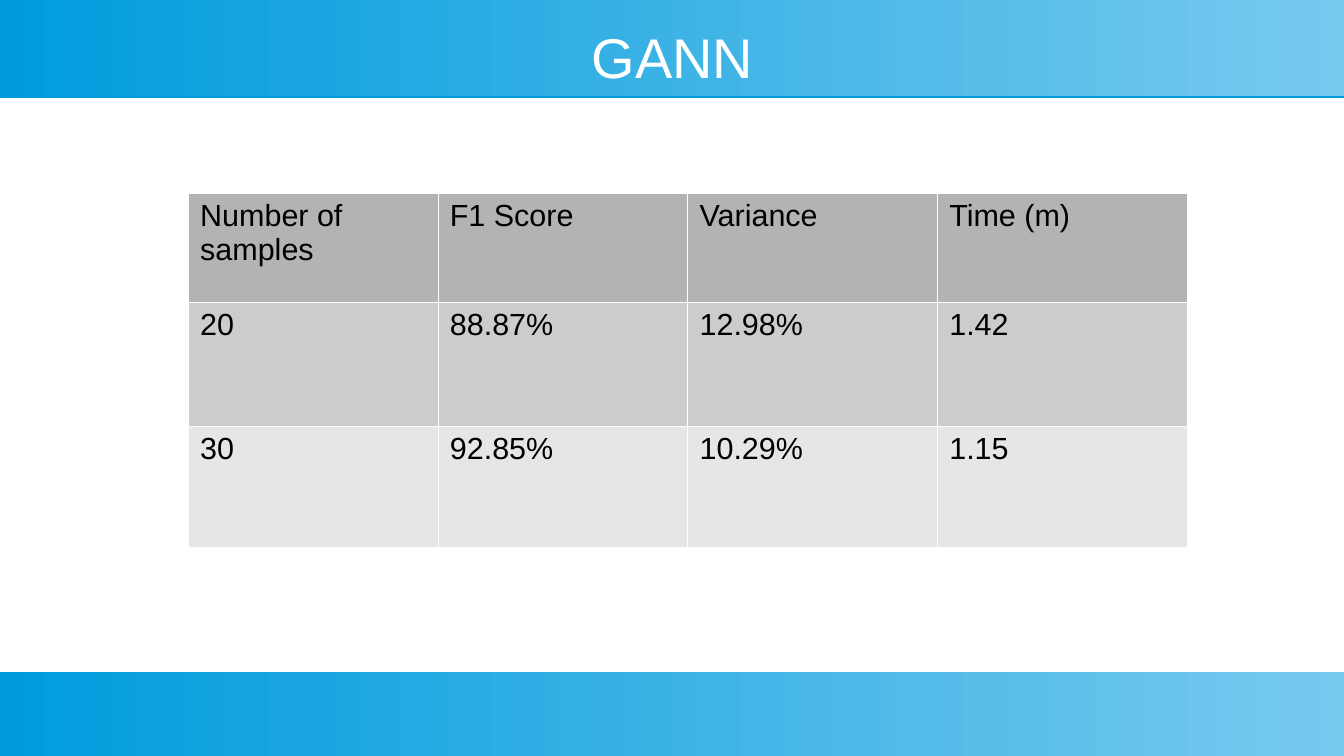
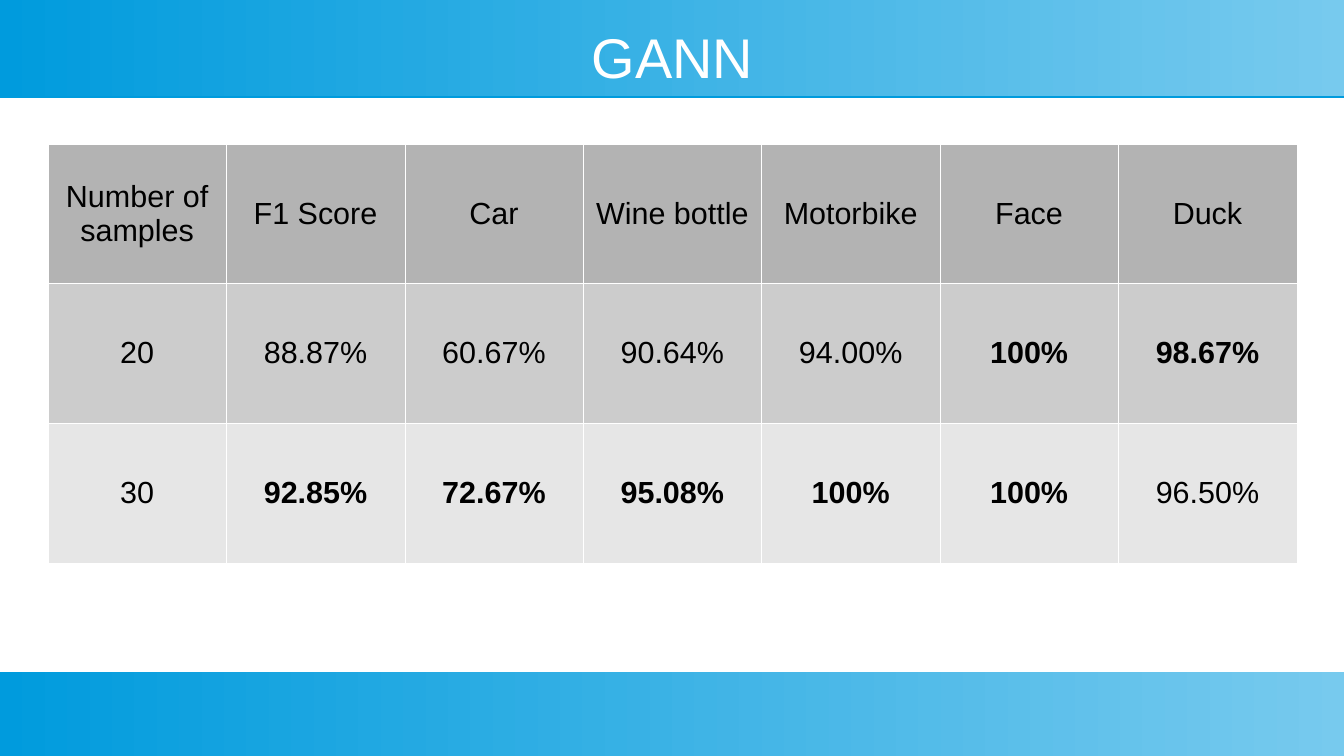
from lxml.etree import SubElement
from pptx import Presentation
from pptx.dml.color import RGBColor
from pptx.enum.shapes import MSO_SHAPE as Shape
from pptx.enum.text import MSO_ANCHOR as Anchor, PP_ALIGN as Align
from pptx.oxml.ns import qn
from pptx.util import Pt

PX = 914400 / 122
SLIDE_W, SLIDE_H = 1344, 756
FONT = "Arial"
BLUE, SKY, WHITE, BLACK = "009BDD", "77CAEE", "FFFFFF", "000000"
ROW_FILLS = ["B3B3B3", "CCCCCC", "E6E6E6"]
BORDER_WIDTH = 720

HEADER_BOX = (0, 0, SLIDE_W, 96)
FOOTER_BOX = (0, 672, SLIDE_W, 84)
TITLE_BOX = (48, 25, 1249, 63)

SUMMARY = [
    ["Number of samples", "F1 Score", "Variance", "Time (m)"],
    ["20", "88.87%", "12.98%", "1.42"],
    ["30", "92.85%", "10.29%", "1.15"],
]
BY_CLASS = [
    ["Number of samples", "F1 Score", "Car", "Wine bottle", "Motorbike", "Face", "Duck"],
    ["20", "88.87%", "60.67%", "90.64%", "94.00%", "100%", "98.67%"],
    ["30", "92.85%", "72.67%", "95.08%", "100%", "100%", "96.50%"],
]


def px(length):
    return round(length * PX)


def rgb(color):
    return RGBColor.from_string(color)


def add_color(parent, color):
    SubElement(parent, qn("a:srgbClr"), val=color)


def style(paragraph, size, color, align, bold=False):
    paragraph.alignment = align
    font = paragraph.font
    font.name, font.size, font.bold = FONT, Pt(size), bold
    font.color.rgb = rgb(color)


def add_band(slide, box):
    band = slide.shapes.add_shape(Shape.RECTANGLE, *map(px, box))
    band.line.fill.background()
    band.fill.gradient()
    band.fill.gradient_angle = 0
    for stop, color, position in zip(band.fill.gradient_stops, (BLUE, SKY), (0, 1)):
        stop.color.rgb = rgb(color)
        stop.position = position
    band.shadow.inherit = False
    effects = band.element.spPr.find(qn("a:effectLst"))
    shadow = SubElement(effects, qn("a:outerShdw"), blurRad="0",
                        dist=str(Pt(0.9)), dir="5400000", rotWithShape="0")
    add_color(shadow, BLUE)


def add_title(slide, text, box):
    frame = slide.shapes.add_textbox(*map(px, box)).text_frame
    frame.margin_left = frame.margin_right = 0
    frame.margin_top = frame.margin_bottom = 0
    frame.word_wrap = True
    frame.vertical_anchor = Anchor.MIDDLE
    frame.text = text
    style(frame.paragraphs[0], 33, WHITE, Align.CENTER)


def add_borders(cell):
    properties = cell._tc.get_or_add_tcPr()
    for side in ("a:lnL", "a:lnR", "a:lnT", "a:lnB"):
        border = SubElement(properties, qn(side), w=str(BORDER_WIDTH))
        add_color(SubElement(border, qn("a:solidFill")), WHITE)


def best_in_column(results, column):
    return max((row[column] for row in results[1:]),
               key=lambda score: float(score.rstrip("%")))


def add_results(slide, results, box, row_heights, centred, mark_best):
    column_count = len(results[0])
    table = slide.shapes.add_table(len(results), column_count, *map(px, box)).table
    for column in table.columns:
        column.width = round(px(box[2]) / column_count)
    for row, height in zip(table.rows, row_heights):
        row.height = px(height)
    for r, values in enumerate(results):
        for c, value in enumerate(values):
            cell = table.cell(r, c)
            add_borders(cell)
            cell.fill.solid()
            cell.fill.fore_color.rgb = rgb(ROW_FILLS[r])
            cell.vertical_anchor = Anchor.MIDDLE if centred else Anchor.TOP
            cell.text = value
            best = mark_best and r > 0 and c > 0 and value == best_in_column(results, c)
            style(cell.text_frame.paragraphs[0], 18, BLACK,
                  Align.CENTER if centred else Align.LEFT, best)


def add_results_slide(deck, title, results, box, row_heights,
                      centred=False, mark_best=False):
    slide = deck.slides.add_slide(deck.slide_layouts[6])
    for band_box in (HEADER_BOX, FOOTER_BOX):
        add_band(slide, band_box)
    add_title(slide, title, TITLE_BOX)
    add_results(slide, results, box, row_heights, centred, mark_best)


def main():
    deck = Presentation()
    deck.slide_width, deck.slide_height = px(SLIDE_W), px(SLIDE_H)
    add_results_slide(deck, "GANN", SUMMARY, (188, 193, 999, 354), (109, 124, 121))
    add_results_slide(deck, "GANN", BY_CLASS, (48, 144, 1249, 419), (139, 140, 140),
                      centred=True, mark_best=True)
    deck.save("out.pptx")


if __name__ == "__main__":
    main()
